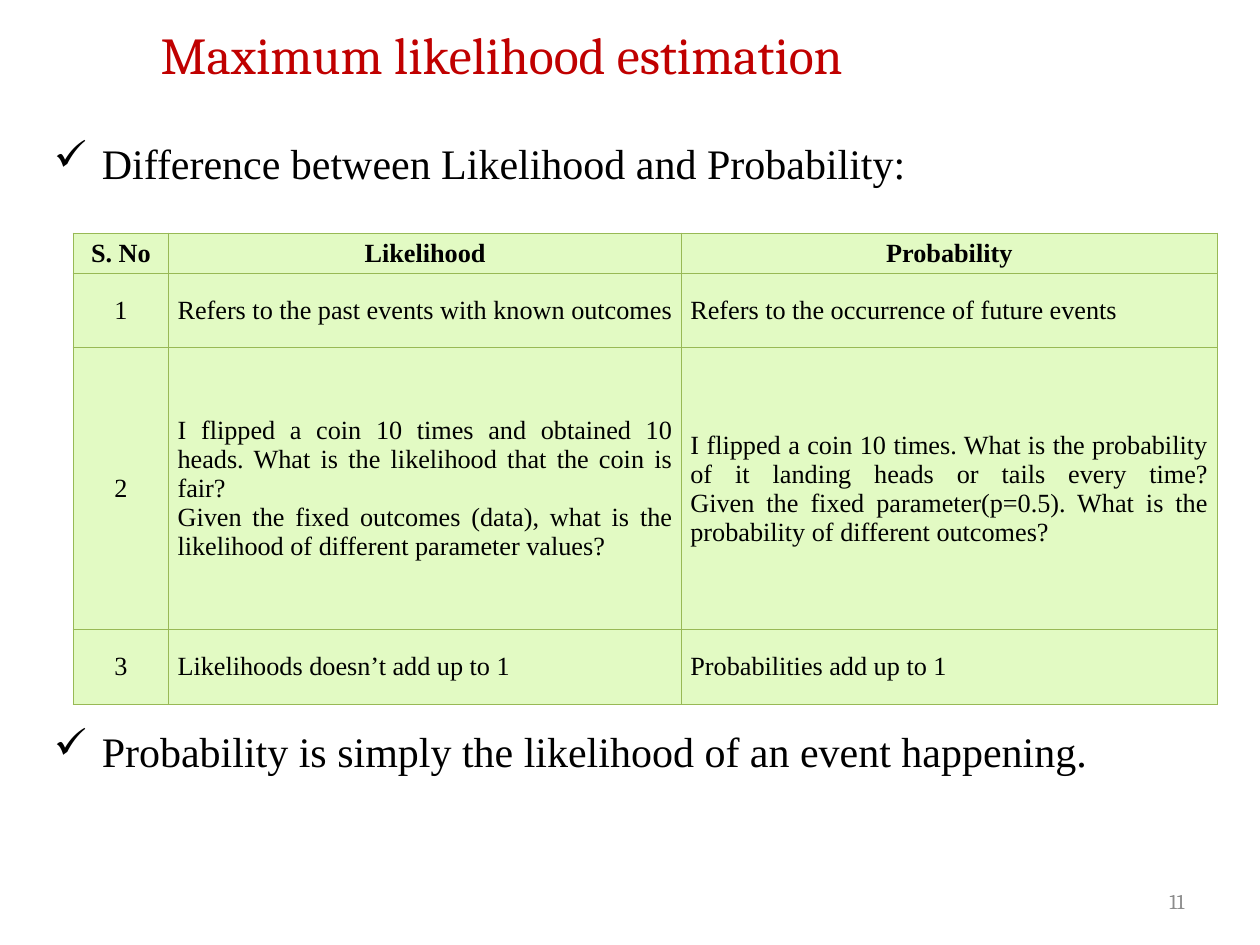
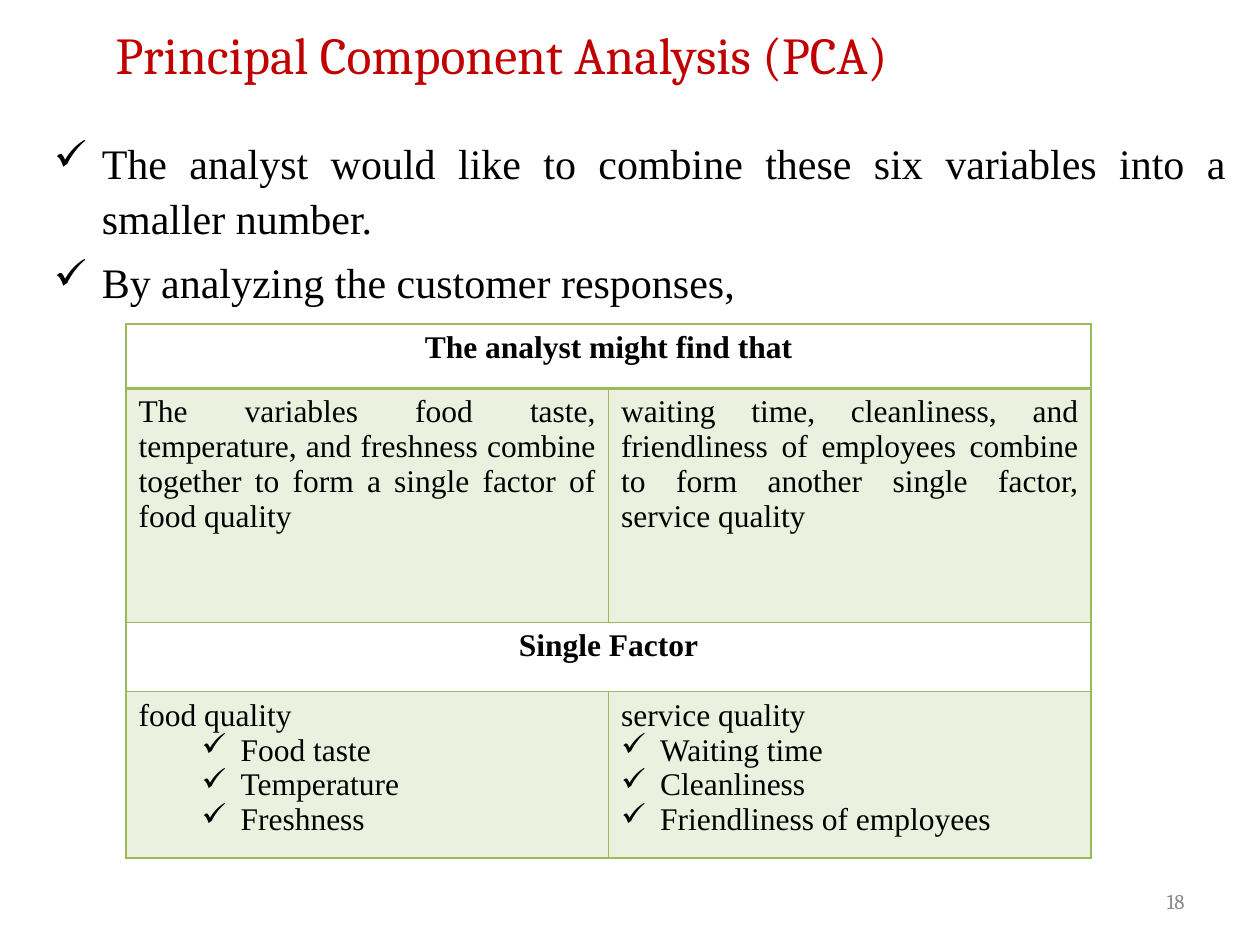
from dataclasses import dataclass

from lxml.etree import SubElement
from pptx import Presentation
from pptx.dml.color import RGBColor
from pptx.enum.text import MSO_ANCHOR, PP_ALIGN
from pptx.oxml.ns import qn
from pptx.util import Inches, Pt


@dataclass(frozen=True)
class Theme:
    heading_font: str = "Cambria"
    body_font: str = "Times New Roman"
    title: str = "C00000"
    text: str = "000000"
    muted: str = "8C8C8C"
    lime: str = "E2FAC3"
    lime_line: str = "98B955"
    sage: str = "EBF1DE"
    sage_line: str = "9BBB59"
    title_size: float = 29.6
    body_size: float = 24
    factor_size: float = 18
    compare_size: float = 15
    number_size: float = 12


@dataclass(frozen=True)
class Para:
    text: str
    align: PP_ALIGN = PP_ALIGN.JUSTIFY
    bold: bool = False
    indent: float = 0
    hang: float = 0


THEME = Theme()
TITLE_BOX = (0.13, 0.13, 7.71, 0.6)
NUMBER_BOX = (7.17, 6.95, 2.33, 0.4)
BODY_LEFT, BODY_TOP, BODY_WIDTH = 0.33, 1, 9.5
CHECK = "✓"


def centred(text, bold=False):
    return Para(text, PP_ALIGN.CENTER, bold)


def checked(text, indent):
    return Para(text, PP_ALIGN.LEFT, indent=indent, hang=0.31)


def write(tf, paras, size, font=THEME.body_font, color=THEME.text):
    """Fill a text frame; a newline in a text becomes a line break."""
    tf.word_wrap = True
    for i, para in enumerate(paras):
        p = tf.add_paragraph() if i else tf.paragraphs[0]
        p.alignment = para.align
        if para.hang:
            set_check_bullet(p, para.indent, para.hang)
        for j, line in enumerate(para.text.split("\n")):
            if j:
                p.add_line_break()
            r = p.add_run()
            r.text = line
            r.font.name = font
            r.font.size = Pt(size)
            r.font.bold = para.bold
            r.font.color.rgb = RGBColor.from_string(color)


def set_check_bullet(p, indent, hang):
    pPr = p._p.get_or_add_pPr()
    pPr.set("marL", str(Inches(indent)))
    pPr.set("indent", str(-Inches(hang)))
    SubElement(pPr, qn("a:buChar"), char=CHECK)


def add_text(slide, box, paras, size, **style):
    sp = slide.shapes.add_textbox(*map(Inches, box))
    write(sp.text_frame, paras, size, **style)
    return sp.text_frame


def add_bullets(slide, box, texts):
    paras = [Para(text, indent=0.38, hang=0.38) for text in texts]
    tf = add_text(slide, box, paras, THEME.body_size)
    for i, p in enumerate(tf.paragraphs):
        p.line_spacing = 1.1
        p.space_before = Pt(0.2 * THEME.body_size if i else 0)


def add_frame(prs, title, number):
    """Add a slide with its title and slide number."""
    slide = prs.slides.add_slide(prs.slide_layouts[6])
    add_text(slide, TITLE_BOX, [centred(title)], THEME.title_size,
             font=THEME.heading_font, color=THEME.title)
    tf = add_text(slide, NUMBER_BOX, [Para(str(number), PP_ALIGN.RIGHT)],
                  THEME.number_size, font=THEME.heading_font, color=THEME.muted)
    tf.vertical_anchor = MSO_ANCHOR.MIDDLE
    return slide


def set_borders(cell, color, widths):
    """Draw the left, right, top and bottom borders, in that order."""
    tcPr = cell._tc.get_or_add_tcPr()
    for side, width in zip("LRTB", widths):
        ln = SubElement(tcPr, qn(f"a:ln{side}"), w=str(Pt(width)))
        fill = SubElement(ln, qn("a:solidFill"))
        SubElement(fill, qn("a:srgbClr"), val=color)


def add_plain_table(slide, left, top, cols, rows):
    """Add a table without style bands, sized by its columns and rows."""
    box = (left, top, sum(cols), sum(rows))
    table = slide.shapes.add_table(len(rows), len(cols), *map(Inches, box)).table
    table.first_row = table.horz_banding = False
    for col, width in zip(table.columns, cols):
        col.width = Inches(width)
    for row, height in zip(table.rows, rows):
        row.height = Inches(height)
    return table


def paint(cell, color):
    if color:
        cell.fill.solid()
        cell.fill.fore_color.rgb = RGBColor.from_string(color)
    else:
        cell.fill.background()


def add_comparison(slide, left, top, header, pairs):
    """Add a numbered two-column comparison."""
    table = add_plain_table(slide, left, top, (0.76, 4.07, 4.25),
                            (0.32, 0.59, 2.24, 0.59))
    rows = [[centred(text, bold=True) for text in header]]
    for number, pair in enumerate(pairs, 1):
        rows.append([centred(str(number)), *map(Para, pair)])
    for i, row in enumerate(rows):
        for j, para in enumerate(row):
            cell = table.cell(i, j)
            cell.vertical_anchor = MSO_ANCHOR.MIDDLE
            cell.margin_left = cell.margin_right = Inches(0.07)
            cell.margin_top = cell.margin_bottom = Inches(0.02)
            write(cell.text_frame, [para], THEME.compare_size)
            set_borders(cell, THEME.lime_line, [0.75] * 4)
            paint(cell, THEME.lime)


def add_factors(slide, left, top, sections):
    """Add sections, each a merged heading row above a shaded pair of cells."""
    table = add_plain_table(slide, left, top, (3.83, 3.83),
                            (0.51, 1.86, 0.55, 1.32))
    rule_widths = (1, 2, 1, 1, 1)
    for s, (heading, pair) in enumerate(sections):
        head = 2 * s
        table.cell(head, 0).merge(table.cell(head, 1))
        write(table.cell(head, 0).text_frame, [centred(heading, bold=True)],
              THEME.factor_size)
        for j, paras in enumerate(pair):
            write(table.cell(head + 1, j).text_frame, paras, THEME.factor_size)
        for i, color in ((head, None), (head + 1, THEME.sage)):
            for j in range(2):
                cell = table.cell(i, j)
                set_borders(cell, THEME.sage_line, (1, 1, *rule_widths[i:i + 2]))
                paint(cell, color)


def likelihood_slide(prs):
    slide = add_frame(prs, "Maximum likelihood estimation", 11)
    add_bullets(slide, (BODY_LEFT, BODY_TOP, BODY_WIDTH, 0.6),
                ["Difference between Likelihood and Probability:"])
    add_comparison(slide, 0.58, 1.85, ("S. No", "Likelihood", "Probability"), [
        ("Refers to the past events with known outcomes",
         "Refers to the occurrence of future events"),
        ("I flipped a coin 10 times and obtained 10 heads. What is the likelihood "
         "that the coin is fair?\nGiven the fixed outcomes (data), what is the "
         "likelihood of different parameter values?",
         "I flipped a coin 10 times. What is the probability of it landing heads "
         "or tails every time?\nGiven the fixed parameter(p=0.5). What is the "
         "probability of different outcomes?"),
        ("Likelihoods doesn’t add up to 1", "Probabilities add up to 1"),
    ])
    add_bullets(slide, (BODY_LEFT, 5.67, BODY_WIDTH, 0.6),
                ["Probability is simply the likelihood of an event happening."])


def pca_slide(prs):
    slide = add_frame(prs, "Principal Component Analysis (PCA)", 18)
    add_bullets(slide, (BODY_LEFT, BODY_TOP, BODY_WIDTH, 1.5), [
        "The analyst would like to combine these six variables into a smaller number.",
        "By analyzing the customer responses,",
    ])
    food = [checked(text, 0.81) for text in ("Food taste", "Temperature", "Freshness")]
    service = [checked(text, 0.31) for text in
               ("Waiting time", "Cleanliness", "Friendliness of employees")]
    add_factors(slide, 1, 2.57, [
        ("The analyst might find that", (
            [Para("The variables food taste, temperature, and freshness combine "
                  "together to form a single factor of food quality")],
            [Para("waiting time, cleanliness, and friendliness of employees combine "
                  "to form another single factor, service quality")])),
        ("Single Factor", (
            [Para("food quality", PP_ALIGN.LEFT), *food],
            [Para("service quality", PP_ALIGN.LEFT), *service])),
    ])


def main():
    prs = Presentation()
    prs.slide_width, prs.slide_height = Inches(10), Inches(7.5)
    likelihood_slide(prs)
    pca_slide(prs)
    prs.save("out.pptx")


if __name__ == "__main__":
    main()
